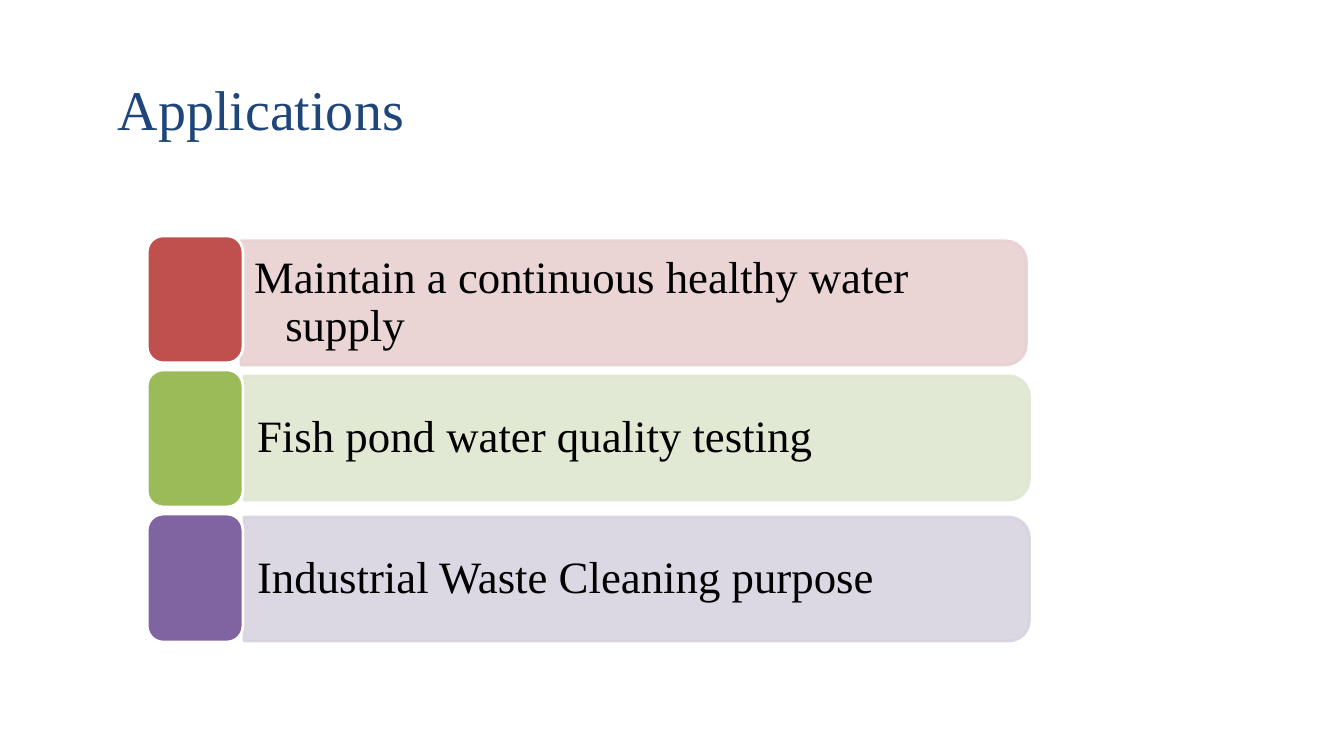
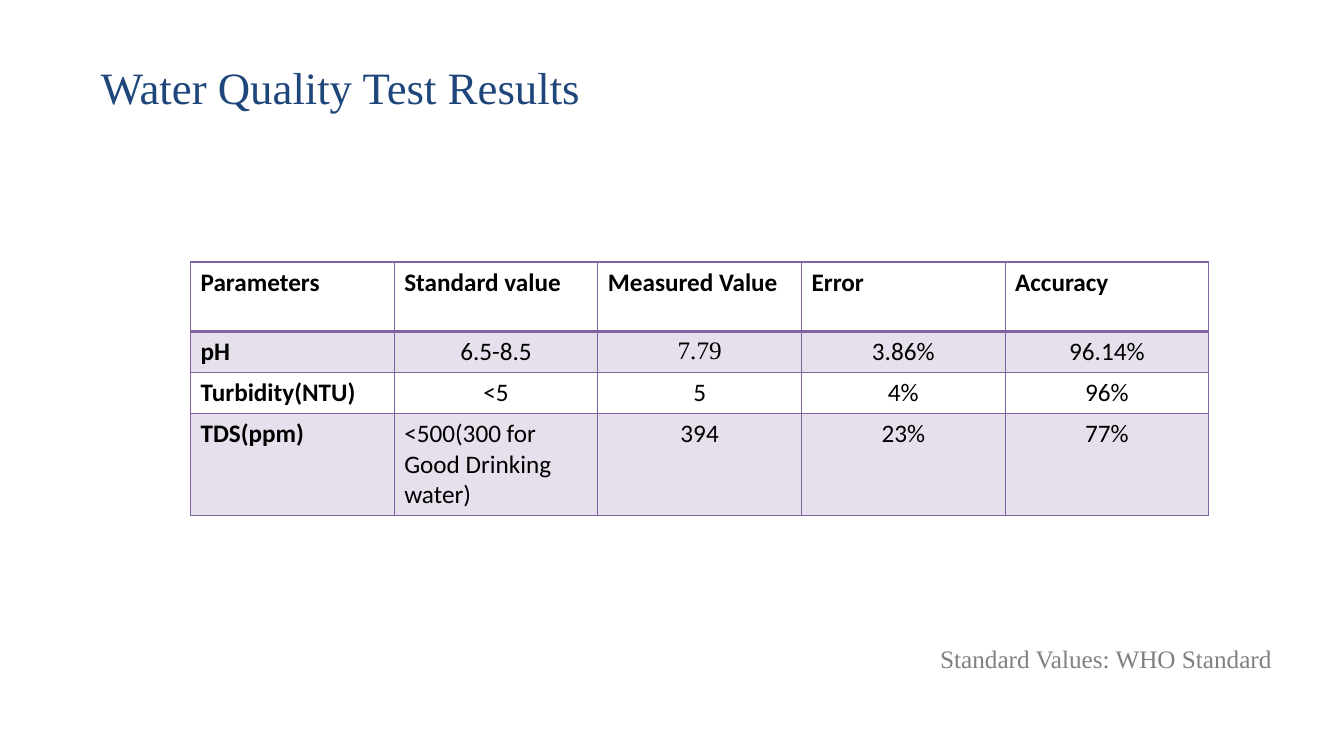
"""Build two slides: water monitoring applications and water quality test results."""
from lxml import etree
from pptx import Presentation
from pptx.dml.color import RGBColor
from pptx.enum.shapes import MSO_SHAPE
from pptx.enum.text import MSO_ANCHOR, PP_ALIGN
from pptx.oxml.ns import qn
from pptx.util import Inches, Pt

ROUND_RECT = MSO_SHAPE.ROUNDED_RECTANGLE
ROUND_TOP = MSO_SHAPE.ROUND_2_SAME_RECTANGLE
TOP, MIDDLE = MSO_ANCHOR.TOP, MSO_ANCHOR.MIDDLE
LEFT, CENTER = PP_ALIGN.LEFT, PP_ALIGN.CENTER

SERIF, SANS = "Times New Roman", "Calibri"
NAVY = RGBColor(0x1E, 0x46, 0x7A)
BLACK = RGBColor(0, 0, 0)
WHITE = RGBColor(0xFF, 0xFF, 0xFF)
GRAY = RGBColor(0x80, 0x80, 0x80)
RED, PALE_RED = RGBColor(0xC0, 0x50, 0x4D), RGBColor(0xE8, 0xD0, 0xD0)
GREEN, PALE_GREEN = RGBColor(0x9B, 0xBB, 0x59), RGBColor(0xDE, 0xE7, 0xD1)
PURPLE, PALE_PURPLE = RGBColor(0x80, 0x64, 0xA2), RGBColor(0xD8, 0xD3, 0xE0)
ROW_TINT = RGBColor(0xE6, 0xE0, 0xEC)

APPLICATIONS_TITLE = ("Applications", 40, (1.17, 0.73, 3.43, 0.69))
RESULTS_TITLE = ("Water Quality Test Results", 32, (1, 0.58, 9.07, 0.55))

APPLICATIONS = [
    dict(text="Maintain a continuous healthy water supply", color=RED, pale=PALE_RED,
         band=(2.39, 2.39), tab=(2.34, 1.26)),
    dict(text="Fish pond water quality testing", color=GREEN, pale=PALE_GREEN,
         band=(2.42, 3.73), tab=(3.67, 1.36)),
    dict(text="Industrial Waste Cleaning purpose", color=PURPLE, pale=PALE_PURPLE,
         band=(2.42, 5.13), tab=(5.1, 1.27)),
]
BAND_LENGTH, BAND_THICKNESS = 7.79, 1.23
TEXT_WIDTH, TEXT_HEIGHT = 7.73, 1.11
TAB_LEFT, TAB_WIDTH = 1.46, 0.95

RESULTS = [
    ["Parameters", "Standard value", "Measured Value", "Error", "Accuracy"],
    ["pH", "6.5-8.5", "7.79", "3.86%", "96.14%"],
    ["Turbidity(NTU)", "<5", "5", "4%", "96%"],
    ["TDS(ppm)", "<500(300 for Good Drinking water)", "394", "23%", "77%"],
]
SERIF_CELL = (1, 2)
LEFT_CELL = (3, 1)
ROW_HEIGHTS = [0.69, 0.4, 0.4, 0.98]
COLUMN_WIDTH = 2.02
SOURCE_NOTE = "Standard Values: WHO Standard"


def box(*lengths):
    return [Inches(length) for length in lengths]


def apply(target, **values):
    for name, value in values.items():
        setattr(target, name, value)


def write(frame, text, size, color, font=SERIF, bold=False, align=LEFT, **frame_format):
    apply(frame, **frame_format)
    paragraph = frame.paragraphs[0]
    paragraph.alignment = align
    run = paragraph.add_run()
    run.text = text
    apply(run.font, size=Pt(size), name=font, bold=bold)
    run.font.color.rgb = color
    return paragraph


def add_titled_slide(deck, title, size, place):
    slide = deck.slides.add_slide(deck.slide_layouts[5])
    heading = slide.shapes.title
    apply(heading, **dict(zip(("left", "top", "width", "height"), box(*place))))
    paragraph = write(heading.text_frame, title, size, NAVY, vertical_anchor=TOP, word_wrap=True,
                      margin_left=0, margin_top=Inches(0.01), margin_right=0, margin_bottom=0)
    paragraph.space_before = Pt(1)
    return slide


def add_block(slide, kind, place, fill, line):
    block = slide.shapes.add_shape(kind, *box(*place))
    block.shadow.inherit = False
    block.fill.solid()
    block.fill.fore_color.rgb = fill
    block.line.color.rgb = line
    block.line.width = Pt(2)
    return block


def add_application(slide, item):
    left, top = item["band"]
    shift = (BAND_LENGTH - BAND_THICKNESS) / 2
    band = add_block(slide, ROUND_TOP, (left + shift, top - shift, BAND_THICKNESS, BAND_LENGTH),
                     item["pale"], item["pale"])
    band.rotation = 90
    for color in band.fill._xPr.iter(qn("a:srgbClr")):
        etree.SubElement(color, qn("a:alpha"), val="90000")
    inset = (BAND_THICKNESS - TEXT_HEIGHT) / 2
    label = slide.shapes.add_textbox(*box(left, top + inset, TEXT_WIDTH, TEXT_HEIGHT))
    side, edge = box(0.13, 0.07)
    paragraph = write(label.text_frame, item["text"], 32, BLACK, word_wrap=True,
                      vertical_anchor=MIDDLE, margin_left=side, margin_right=side,
                      margin_top=edge, margin_bottom=edge)
    paragraph.line_spacing = 0.9
    indent = Inches(0.31)
    properties = paragraph._p.get_or_add_pPr()
    properties.set("marL", str(indent))
    properties.set("indent", str(-indent))
    tab_top, tab_height = item["tab"]
    add_block(slide, ROUND_RECT, (TAB_LEFT, tab_top, TAB_WIDTH, tab_height), item["color"], WHITE)


def set_borders(cell, widths):
    properties = cell._tc.get_or_add_tcPr()
    for side, width in widths.items():
        border = etree.SubElement(properties, qn(f"a:ln{side}"), w=str(Pt(width)))
        fill = etree.SubElement(border, qn("a:solidFill"))
        etree.SubElement(fill, qn("a:srgbClr"), val=str(PURPLE))


def add_results(slide):
    rows, columns = len(RESULTS), len(RESULTS[0])
    place = box(1.89, 2.6, COLUMN_WIDTH * columns, sum(ROW_HEIGHTS))
    table = slide.shapes.add_table(rows, columns, *place).table
    apply(table, first_row=False, horz_banding=False)
    for column in table.columns:
        column.width = Inches(COLUMN_WIDTH)
    for r, values in enumerate(RESULTS):
        table.rows[r].height = Inches(ROW_HEIGHTS[r])
        for c, value in enumerate(values):
            cell = table.cell(r, c)
            is_heading = r == 0 or c == 0
            write(cell.text_frame, value, 18, BLACK, bold=is_heading,
                  font=SERIF if (r, c) == SERIF_CELL else SANS,
                  align=LEFT if is_heading or (r, c) == LEFT_CELL else CENTER)
            set_borders(cell, dict(L=1, R=1, T=2 if r == 1 else 1, B=2 if r == 0 else 1))
            if r % 2:
                cell.fill.solid()
                cell.fill.fore_color.rgb = ROW_TINT
            else:
                cell.fill.background()


def main():
    deck = Presentation()
    apply(deck, slide_width=Inches(13.33), slide_height=Inches(7.5))

    applications = add_titled_slide(deck, *APPLICATIONS_TITLE)
    for item in APPLICATIONS:
        add_application(applications, item)

    results = add_titled_slide(deck, *RESULTS_TITLE)
    add_results(results)
    note = results.shapes.add_textbox(*box(9.17, 6.33, 3.6, 0.4))
    write(note.text_frame, SOURCE_NOTE, 18, GRAY, align=CENTER, word_wrap=False)

    deck.save("out.pptx")


if __name__ == "__main__":
    main()
